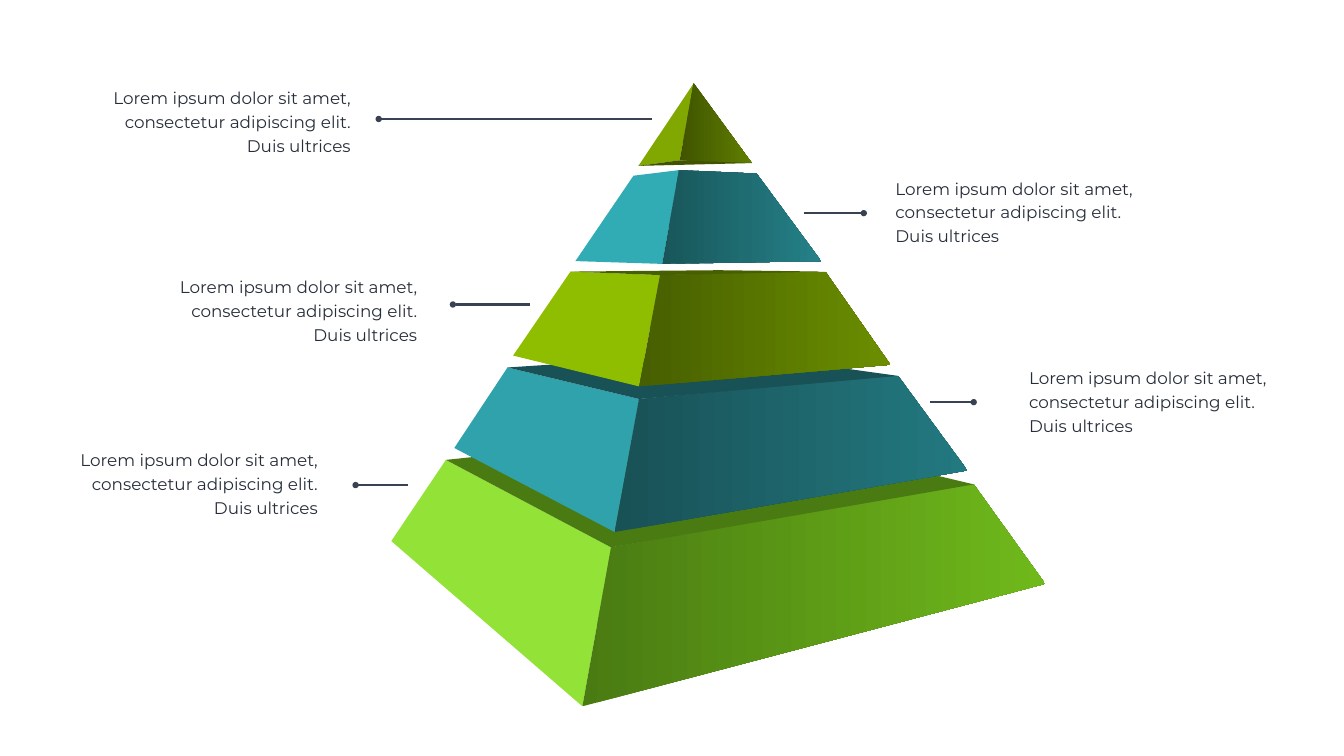
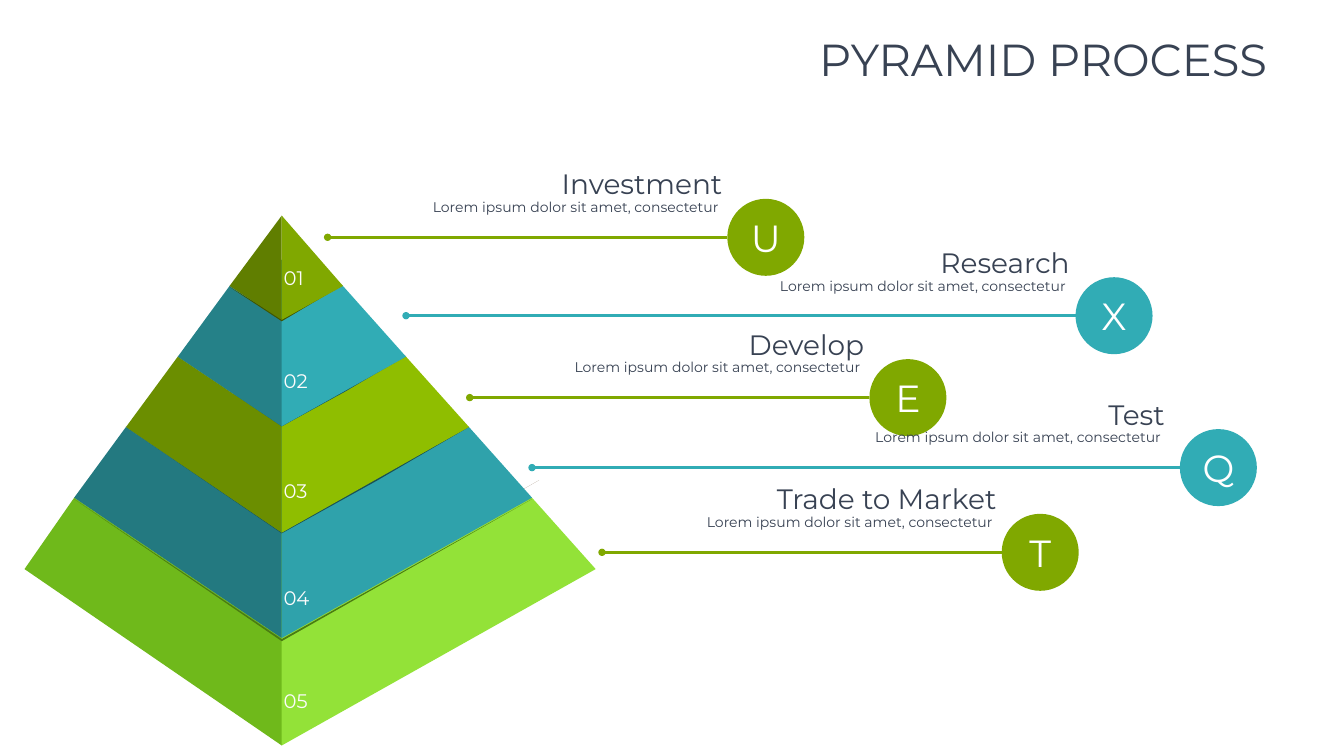
"""Builds two pyramid infographic slides."""
from itertools import pairwise

from lxml import etree
from pptx import Presentation
from pptx.dml.color import RGBColor
from pptx.enum import shapes, text
from pptx.oxml.ns import qn
from pptx.util import Pt

FONT = "Montserrat"
SLATE = RGBColor(0x38, 0x42, 0x53)
INK = RGBColor(0x27, 0x2E, 0x3A)
WHITE = RGBColor(0xFF, 0xFF, 0xFF)
OFF_WHITE = RGBColor(0xFB, 0xFB, 0xFB)
TAUPE = RGBColor(0x9C, 0x8A, 0x78)
OLIVE = RGBColor(0x80, 0xA8, 0x00)
OLIVE_MID = RGBColor(0x60, 0x7E, 0x00)
OLIVE_DARK = RGBColor(0x40, 0x54, 0x00)
TEAL = RGBColor(0x31, 0xAC, 0xB5)
TEAL_MID = RGBColor(0x25, 0x81, 0x88)
TEAL_DARK = RGBColor(0x18, 0x56, 0x5A)
LIME = RGBColor(0x8F, 0xBE, 0x00)
LIME_MID = RGBColor(0x6B, 0x8E, 0x00)
LIME_DARK = RGBColor(0x47, 0x5F, 0x00)
SEA = RGBColor(0x2F, 0xA2, 0xAB)
SEA_MID = RGBColor(0x23, 0x79, 0x80)
SEA_DARK = RGBColor(0x18, 0x51, 0x56)
GREEN = RGBColor(0x93, 0xE2, 0x38)
GREEN_MID = RGBColor(0x6F, 0xB9, 0x1B)
GREEN_DARK = RGBColor(0x4A, 0x7B, 0x12)

LEFT, CENTER, RIGHT = text.PP_ALIGN.LEFT, text.PP_ALIGN.CENTER, text.PP_ALIGN.RIGHT
GROW = text.MSO_AUTO_SIZE.SHAPE_TO_FIT_TEXT
CALLOUT = "Lorem ipsum dolor sit amet, consectetur adipiscing elit. Duis ultrices"
DETAIL = "Lorem ipsum dolor sit amet, consectetur "
CIRCLE = 110


class Deck:
    """Holds the presentation, the current slide and the shared style."""

    def __init__(self):
        self.presentation = Presentation()
        self.presentation.slide_width = Pt(1920)
        self.presentation.slide_height = Pt(1080)

    def new_slide(self):
        self.slide = self.presentation.slides.add_slide(self.presentation.slide_layouts[6])
        self.canvas = self.slide.shapes

    def start_group(self):
        self.canvas = self.slide.shapes.add_group_shape().shapes

    def end_group(self):
        self.canvas = self.slide.shapes

    def face(self, points, *colors):
        """Draws a polygon, solid for one colour and a gradient for two."""
        start, *others = [(Pt(x), Pt(y)) for x, y in dict.fromkeys(points)]
        builder = self.canvas.build_freeform(*start)
        builder.add_line_segments(others)
        shape = builder.convert_to_shape()
        shape.shadow.inherit = False
        shape.line.fill.background()
        if len(colors) == 1:
            shape.fill.solid()
            shape.fill.fore_color.rgb = colors[0]
        else:
            shape.fill.gradient()
            shape.fill.gradient_angle = 0
            for stop, color in zip(shape.fill.gradient_stops, colors):
                stop.color.rgb = color

    def add_lines(self, frame, lines, align=LEFT, spacing=None):
        """Fills a text frame with (words, size, colour) paragraphs."""
        for index, (words, size, color) in enumerate(lines):
            paragraph = frame.add_paragraph() if index else frame.paragraphs[0]
            paragraph.alignment = align
            paragraph.line_spacing = spacing
            run = paragraph.add_run()
            run.text = words
            run.font.name = FONT
            run.font.size = Pt(size)
            run.font.color.rgb = color

    def text_box(self, box, lines, align=LEFT, spacing=None, wrap=True, grow=True):
        frame = self.canvas.add_textbox(*map(Pt, box)).text_frame
        frame.word_wrap = wrap
        if grow:
            frame.auto_size = GROW
        self.add_lines(frame, lines, align, spacing)

    def pointer(self, start, end, color, width):
        """Draws a line with a dot at its end."""
        connector = self.canvas.add_connector(
            shapes.MSO_CONNECTOR.STRAIGHT, *map(Pt, (*start, *end)))
        connector.line.color.rgb = color
        connector.line.width = Pt(width)
        properties = connector._element.spPr
        etree.SubElement(properties.get_or_add_ln(), qn("a:tailEnd"), type="oval")
        etree.SubElement(properties, qn("a:effectLst"))
        return connector

    def circle(self, left, top, letter, color):
        shape = self.canvas.add_shape(
            shapes.MSO_SHAPE.ROUNDED_RECTANGLE, *map(Pt, (left, top, CIRCLE, CIRCLE)))
        shape.adjustments[0] = 0.5
        shape.shadow.inherit = False
        shape.fill.solid()
        shape.fill.fore_color.rgb = color
        shape.line.fill.background()
        shape.text_frame.vertical_anchor = text.MSO_ANCHOR.MIDDLE
        self.add_lines(shape.text_frame, [(letter, 54, WHITE)], CENTER)
        return shape


def draw_solid_tier(deck, left, ridge, right, back, light, dark, mid):
    """Draws a 3D tier from (top, bottom) corner pairs and the back corner."""
    deck.start_group()
    deck.face([left[1], left[0], ridge[0], ridge[1]], light)
    deck.face([ridge[0], right[0], right[1], ridge[1]], dark, mid)
    if back:
        deck.face([left[0], back, right[0], ridge[0]], dark)
    deck.end_group()


def build_callout_slide(deck):
    deck.new_slide()
    apex = (991, 119)
    tiers = [
        (((637, 657), (559, 773)), ((873, 782), (832, 1009)), ((1391, 692), (1493, 834)),
         (1059, 613), GREEN, GREEN_DARK, GREEN_MID),
        (((725, 525), (649, 640)), ((913, 570), (878, 760)), ((1283, 537), (1382, 672)),
         (1045, 504), SEA, SEA_DARK, SEA_MID),
        (((815, 388), (733, 508)), ((943, 393), (913, 552)), ((1179, 388), (1272, 521)),
         (1027, 386), LIME, LIME_DARK, LIME_MID),
        (((905, 251), (822, 373)), ((970, 243), (946, 377)), ((1081, 248), (1173, 373)),
         None, TEAL, TEAL_DARK, TEAL_MID),
        ((apex, (912, 237)), (apex, (971, 229)), (apex, (1074, 233)),
         None, OLIVE, OLIVE_DARK, OLIVE_MID),
    ]
    for tier in tiers:
        draw_solid_tier(deck, *tier)
    deck.face([(912, 237), (971, 229), (1074, 233)], OLIVE_DARK)

    callouts = [
        (143, 117, RIGHT, 931, 541, 170),
        (1272, 246, LEFT, 1148, 1234, 304.5),
        (238, 387, RIGHT, 757, 647, 435),
        (1463, 517, LEFT, 1329, 1391, 574.5),
        (96, 634, RIGHT, 582.5, 508, 693),
    ]
    for left, top, align, start, end, level in callouts:
        deck.pointer((start, level), (end, level), SLATE, 3)
        deck.text_box((left, top, 365, 107), [(CALLOUT, 24, INK)], align, Pt(34))


def draw_flat_pyramid(deck):
    """Draws five tiers, bottom first, between successive outline levels."""
    axis = 402.5
    levels = [
        (axis, axis, 308, 308), (328, 490, 408.5, 457), (254, 580, 509.5, 609),
        (180, 670, 610, 761), (106, 760, 711, 911.5), (35, 851, 813, 1065),
    ]
    tiers = [
        ("01", 377, 43, None, OLIVE, OLIVE_MID,
         [(328, 410), (axis, 455), (490, 407), (axis, 459)], OLIVE_DARK),
        ("02", 523, 49, (axis, 371), TEAL, TEAL_MID,
         [(254, 508), (axis, 608), (490, 559.5), (580, 508), (493, 559.5), (axis, 609)],
         TEAL_DARK),
        ("03", 680, 49, (412.5, 446), LIME, LIME_MID,
         [(180, 610), (axis, 761), (535, 684), (670, 610), (538, 687), (axis, 762)],
         SEA_DARK),
        ("04", 833, 52, (418, 539), SEA, SEA_MID,
         [(106, 713), (axis, 913), (760, 713), (axis, 916)], GREEN_DARK),
        ("05", 981, 49, (412.5, 609), GREEN, GREEN_MID, None, None),
    ]
    deck.face([(279, 689), (502, 839), (770, 686), (502, 839.5)], TAUPE)
    for (upper, lower), tier in reversed(list(zip(pairwise(levels), tiers))):
        number, label_top, label_width, back, light, shade, edge, edge_color = tier
        top_left, top_right, top_side, top_ridge = upper
        low_left, low_right, low_side, low_ridge = lower
        deck.start_group()
        if edge:
            deck.face(edge, edge_color)
        ridge = [(axis, low_ridge), (axis, top_ridge)]
        deck.face([(top_left, top_side), (low_left, low_side), *ridge], shade)
        deck.face([(top_right, top_side), (low_right, low_side), *ridge], light)
        if back:
            deck.face([(top_left, top_side), (axis, top_ridge), (top_right, top_side), back],
                      shade)
        deck.text_box((398, label_top, label_width, 41), [(number, 28, OFF_WHITE)], wrap=False)
        deck.end_group()


def build_process_slide(deck):
    deck.new_slide()
    draw_flat_pyramid(deck)
    steps = [
        ("Investment", "U", OLIVE, 1039, 284, 468, 1039),
        ("Research", "X", TEAL, 1536.5, 396, 580, 1535),
        ("Develop", "E", OLIVE, 1242, 513, 671, 1241.5),
        ("Test", "Q", TEAL, 1685.5, 613, 760, 1671),
        ("Trade to Market", "T", OLIVE, 1431, 734, 860, 1430.5),
    ]
    for heading, letter, color, left, top, line_end, text_right in steps:
        circle = deck.circle(left, top, letter, color)
        middle = top + CIRCLE / 2
        pointer = deck.pointer((left, middle), (line_end, middle), color, 3.5)
        pointer.begin_connect(circle, 1)
        deck.text_box((text_right - 529, top - 43.5, 529, 72),
                      [(heading, 40, SLATE), (DETAIL, 20, SLATE)], RIGHT, 0.89)
    deck.text_box((1122, 50.5, 695, 129), [("PYRAMID PROCESS", 64, SLATE)],
                  RIGHT, 0.9, grow=False)


def main():
    deck = Deck()
    build_callout_slide(deck)
    build_process_slide(deck)
    deck.presentation.save("out.pptx")


if __name__ == "__main__":
    main()
